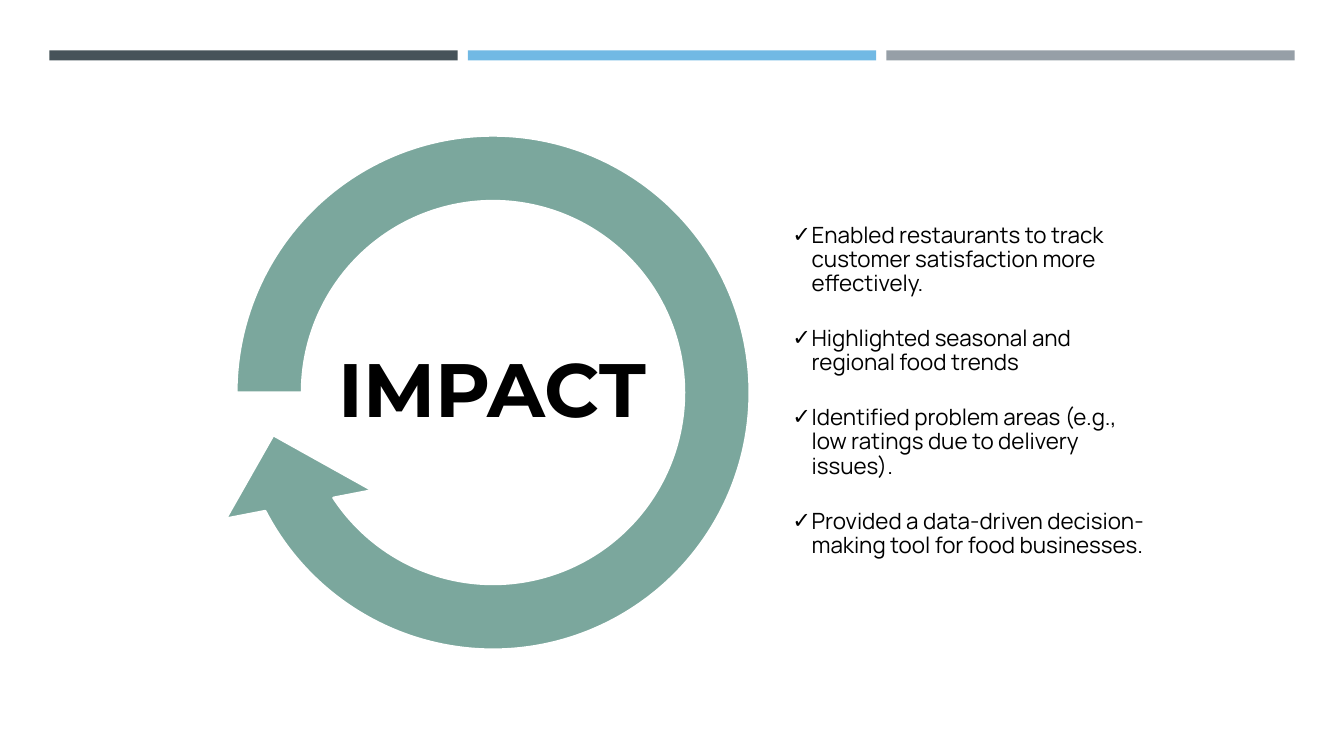
from dataclasses import dataclass

from lxml.etree import SubElement
from pptx import Presentation
from pptx.dml.color import RGBColor
from pptx.enum.shapes import MSO_SHAPE as Shape
from pptx.enum.text import MSO_ANCHOR as Anchor, MSO_AUTO_SIZE as AutoSize, PP_ALIGN as Align
from pptx.oxml.ns import qn
from pptx.util import Inches, Pt


@dataclass(frozen=True)
class Theme:
    bars: tuple = ("465359", "71B9E4", "969FA7")
    ring: str = "7BA79D"
    outline: str = "FFFFFF"
    text: str = "000000"
    title_font: str = "Montserrat"
    body_font: str = "Manrope"
    title_size: int = 54
    body_size: int = 16
    item_gap: int = 22
    line_spacing: float = 0.9


class SlideBuilder:
    def __init__(self, page, theme):
        self.page = page
        self.theme = theme

    def shape(self, kind, area, color):
        shape = self.page.shapes.add_shape(kind, *map(Inches, area))
        shape.shadow.inherit = False
        shape.fill.solid()
        shape.fill.fore_color.rgb = RGBColor.from_string(color)
        shape.line.fill.background()
        return shape

    def bars(self, left, top, width, height, gap):
        for index, color in enumerate(self.theme.bars):
            self.shape(Shape.RECTANGLE, (left + index * (width + gap), top, width, height), color)

    def ring_arrow(self, area, adjustments):
        ring = self.shape(Shape.CIRCULAR_ARROW, area, self.theme.ring)
        for index, value in enumerate(adjustments):
            ring.adjustments[index] = value
        ring.line.color.rgb = RGBColor.from_string(self.theme.outline)
        ring.line.width = Pt(1.75)

    def place(self, holder, area, inset):
        """Move a placeholder to the front and into its area; return its text frame."""
        holder.left, holder.top, holder.width, holder.height = map(Inches, area)
        holder.element.getparent().append(holder.element)
        frame = holder.text_frame
        frame.word_wrap = True
        frame.auto_size = AutoSize.NONE
        frame.vertical_anchor = Anchor.MIDDLE
        frame.margin_left = frame.margin_right = Inches(inset)
        frame.margin_top = frame.margin_bottom = Inches(inset)
        return frame

    def span(self, para, text, font, size, bold=False):
        span = para.add_run()
        span.text = text
        span.font.name = font
        span.font.size = Pt(size)
        span.font.bold = bold
        span.font.color.rgb = RGBColor.from_string(self.theme.text)

    def title(self, text, area):
        para = self.place(self.page.shapes.title, area, 0.04).paragraphs[0]
        para.alignment = Align.CENTER
        para.line_spacing = self.theme.line_spacing
        self.span(para, text, self.theme.title_font, self.theme.title_size, True)

    def checklist(self, items, area, indent):
        frame = self.place(self.page.placeholders[1], area, 0.01)
        for index, item in enumerate(items):
            para = frame.add_paragraph() if index else frame.paragraphs[0]
            para.alignment = Align.LEFT
            para.line_spacing = self.theme.line_spacing
            para.space_before = Pt(self.theme.item_gap if index else 0)
            para.space_after = Pt(0)
            properties = para._p.get_or_add_pPr()
            properties.set("marL", str(Inches(indent)))
            properties.set("indent", str(-Inches(indent)))
            SubElement(properties, qn("a:buChar")).set("char", "✓")
            self.span(para, item, self.theme.body_font, self.theme.body_size)


def main():
    deck = Presentation()
    deck.slide_width, deck.slide_height = Inches(13.33), Inches(7.5)
    page = deck.slides.add_slide(deck.slide_layouts[1])
    builder = SlideBuilder(page, Theme())

    builder.bars(left=0.49, top=0.5, width=4.05, height=0.1, gap=0.1)
    builder.ring_arrow((1.93, 0.93, 5.92, 5.93), (0.11, 11.42, 90, 108, 0.125))
    builder.checklist(
        (
            "Enabled restaurants to track customer satisfaction more effectively.",
            "Highlighted seasonal and regional food trends",
            "Identified problem areas (e.g., low ratings due to delivery issues).",
            "Provided a data-driven decision-making tool for food businesses.",
        ),
        area=(7.85, 1.34, 3.56, 5.08),
        indent=0.19,
    )
    builder.title("IMPACT", (3.23, 3.07, 3.31, 1.65))
    deck.save("out.pptx")


if __name__ == "__main__":
    main()
